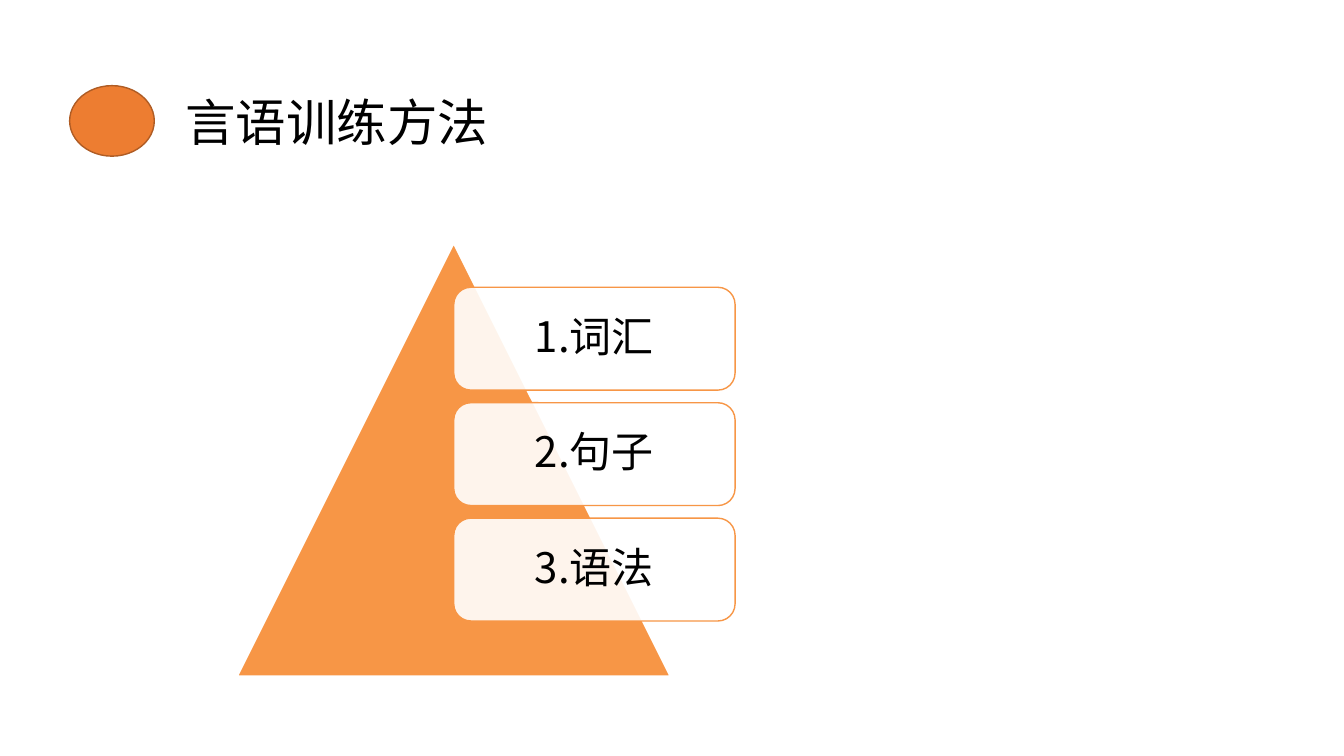
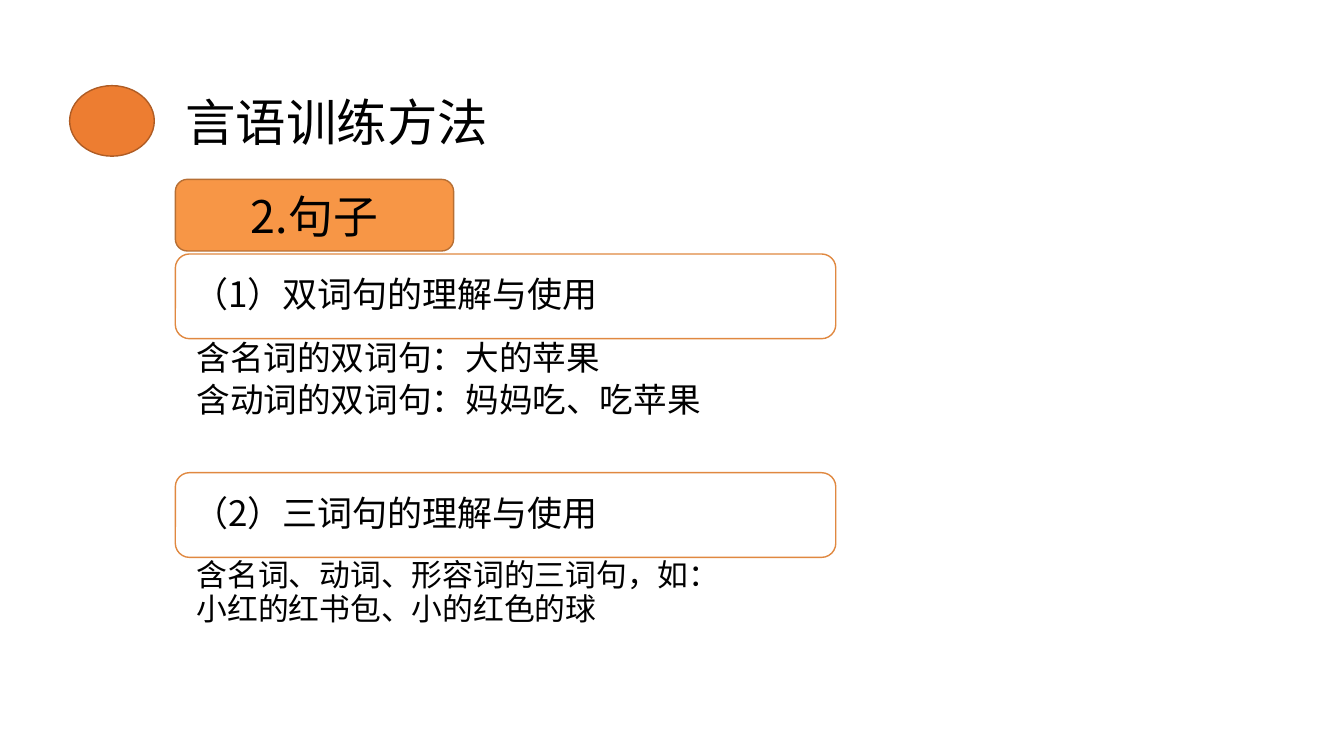
from lxml import etree
from pptx import Presentation
from pptx.dml.color import RGBColor
from pptx.enum.shapes import MSO_SHAPE
from pptx.enum.text import MSO_ANCHOR, PP_ALIGN
from pptx.oxml.ns import qn
from pptx.util import Inches, Pt

OVAL = MSO_SHAPE.OVAL
TRIANGLE = MSO_SHAPE.ISOSCELES_TRIANGLE
ROUNDED = MSO_SHAPE.ROUNDED_RECTANGLE
TOP, MIDDLE = MSO_ANCHOR.TOP, MSO_ANCHOR.MIDDLE
LEFT, CENTER = PP_ALIGN.LEFT, PP_ALIGN.CENTER

BLACK = RGBColor(0x00, 0x00, 0x00)
WHITE = RGBColor(0xFF, 0xFF, 0xFF)
ACCENT = RGBColor(0xED, 0x7D, 0x31)
ACCENT_EDGE = RGBColor(0xAF, 0x5C, 0x24)
ORANGE = RGBColor(0xF7, 0x96, 0x46)
ORANGE_EDGE = RGBColor(0xB7, 0x6F, 0x34)
HEADING_EDGE = RGBColor(0xE0, 0x88, 0x40)

FONT = "Noto Sans CJK SC"
TITLE = "言语训练方法"
INDENT = 13.05
PANEL_WIDTH = 49.14
HEADING_HEIGHT = 11.2


class Slides:
    """Style and current page, placed on a grid of 100 columns by 100 rows."""

    def __init__(self):
        self.deck = Presentation()
        self.deck.slide_width = Inches(13.33)
        self.deck.slide_height = Inches(7.5)
        self.page = None

    def columns(self, count):
        return round(self.deck.slide_width * count / 100)

    def rows(self, count):
        return round(self.deck.slide_height * count / 100)

    def place(self, left, top, width, height):
        return self.columns(left), self.rows(top), self.columns(width), self.rows(height)

    def new_page(self):
        self.page = self.deck.slides.add_slide(self.deck.slide_layouts[6])
        self.shape(OVAL, (5.18, 11.33, 6.3, 9.33), ACCENT, ACCENT_EDGE)
        self.text((INDENT, 11.33, 41.26, 9.47), [TITLE], 36)

    def shape(self, kind, area, fill, edge, weight=1, opacity=100):
        box = self.page.shapes.add_shape(kind, *self.place(*area))
        box.shadow.inherit = False
        box.fill.solid()
        box.fill.fore_color.rgb = fill
        box.line.color.rgb = edge
        box.line.width = Pt(weight)
        if opacity < 100:
            color = box._element.spPr.find(qn("a:solidFill"))[0]
            etree.SubElement(color, qn("a:alpha"), val=str(opacity * 1000))
        return box

    def text(self, area, lines, size, **style):
        box = self.page.shapes.add_textbox(*self.place(*area))
        self.fill_text(box, lines, size, **style)

    def fill_text(self, box, lines, size, align=LEFT, anchor=TOP,
                  inset=(0.75, 0.67), leading=1, gap=0):
        frame = box.text_frame
        frame.word_wrap = True
        frame.vertical_anchor = anchor
        frame.margin_left = frame.margin_right = self.columns(inset[0])
        frame.margin_top = frame.margin_bottom = self.rows(inset[1])
        frame.text = "\n".join(lines)
        for para in frame.paragraphs:
            para.alignment = align
            para.line_spacing = leading
            para.space_after = Pt(gap)
            para.font.size = Pt(size)
            para.font.color.rgb = BLACK
            para.font.name = FONT
            etree.SubElement(para.font._element, qn("a:ea"), typeface=FONT)

    def card(self, top, label):
        box = self.shape(ROUNDED, (33.76, top, 20.93, 13.6), WHITE, ORANGE, opacity=90)
        self.fill_text(box, [label], 30, CENTER, MIDDLE, (0.9, 1.6), 0.9)

    def tag(self, label):
        box = self.shape(ROUNDED, (INDENT, 23.73, 20.7, 9.47), ORANGE, ORANGE_EDGE)
        self.fill_text(box, [label], 32, CENTER, MIDDLE)

    def section(self, top, heading, lines, size, height, gap):
        area = (INDENT, top, PANEL_WIDTH, HEADING_HEIGHT)
        box = self.shape(ROUNDED, area, WHITE, HEADING_EDGE)
        self.fill_text(box, [heading], 25, LEFT, MIDDLE, (1.05, 1.33), 0.9)
        area = (INDENT, top + HEADING_HEIGHT, PANEL_WIDTH, height)
        self.text(area, lines, size, inset=(1.58, 0.4), leading=0.9, gap=gap)


slides = Slides()

slides.new_page()
slides.shape(TRIANGLE, (17.63, 32.13, 32.26, 57.33), ORANGE, WHITE, 1.5)
for index, label in enumerate(["1.词汇", "2.句子", "3.语法"]):
    slides.card(38 + 15.27 * index, label)

slides.new_page()
slides.tag("2.句子")
slides.section(33.6, "（1）双词句的理解与使用",
               ["含名词的双词句：大的苹果", "含动词的双词句：妈妈吃、吃苹果"],
               24, 17.73, 4)
slides.section(62.53, "（2）三词句的理解与使用",
               ["含名词、动词、形容词的三词句，如：", "小红的红书包、小的红色的球"],
               22, 15.2, 0)

slides.deck.save("out.pptx")
